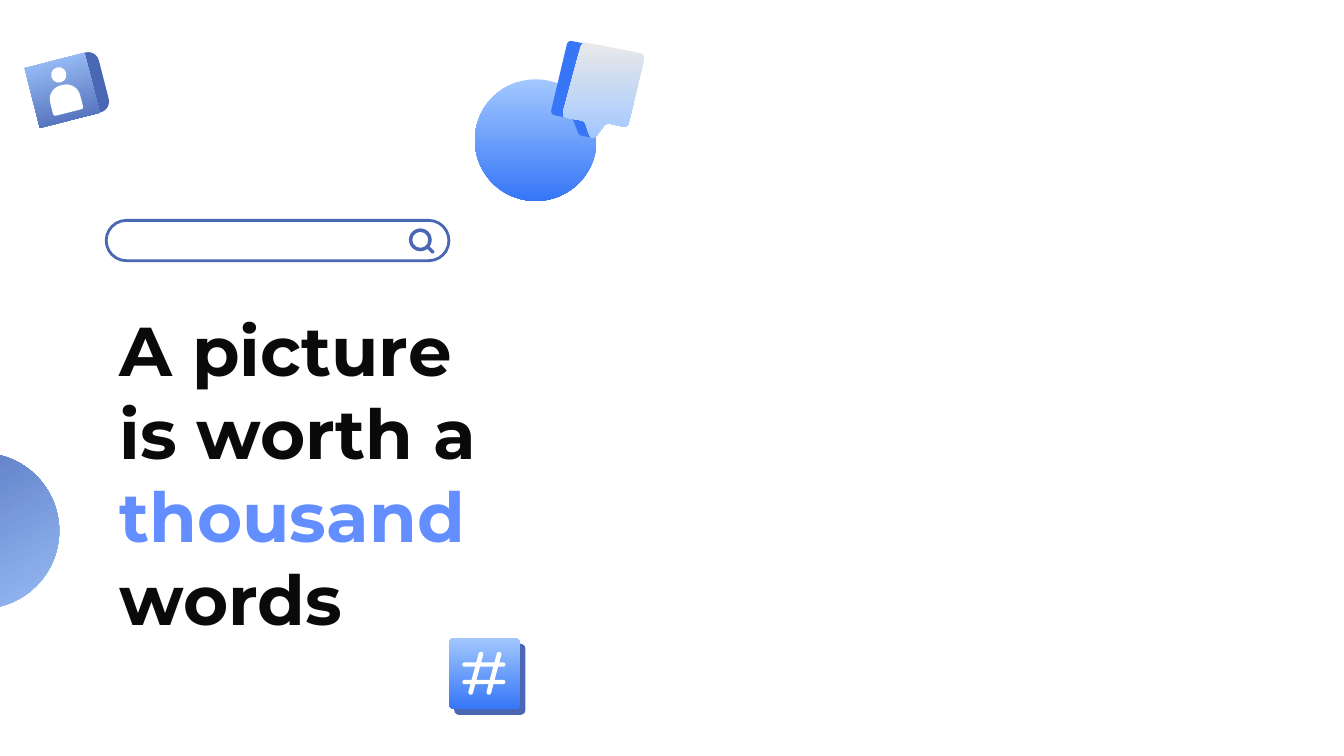
from pptx import Presentation
from pptx.dml.color import RGBColor as Rgb
from pptx.enum.shapes import MSO_SHAPE as Preset
from pptx.enum.text import MSO_ANCHOR as Anchor, MSO_AUTO_SIZE as AutoSize, PP_ALIGN as Align
from pptx.util import Inches, Pt

COLORS = {
    "ink": "0A0A0A", "accent": "628EFF", "white": "FFFFFF", "navy": "4A67B4",
    "blue": "3676F7", "sky": "A3C8FF", "mist": "E9E9E9",
}
COLUMNS, ROWS = 100, 56.25  # grid of square cells
CELL = 0.1                  # inches per cell
CORNER_STEPS = 6


def grid(cells):
    return Inches(cells * CELL)


class SlideArt:
    """Holds the style, the current slide and the group being drawn into."""

    frame_format = {
        "word_wrap": True, "auto_size": AutoSize.NONE, "vertical_anchor": Anchor.MIDDLE,
        "margin_left": grid(1), "margin_right": grid(1),
        "margin_top": grid(1), "margin_bottom": grid(1.35),
    }
    paragraph_format = {"alignment": Align.LEFT, "line_spacing": 1.0}
    font_format = {"name": "Montserrat", "size": Pt(37), "bold": True}

    def __init__(self, slide):
        self.slide = slide
        self.canvas = slide.shapes

    @staticmethod
    def apply(target, values):
        for name, value in values.items():
            setattr(target, name, value)

    @staticmethod
    def color(name):
        return Rgb.from_string(COLORS[name])

    def group(self):
        self.canvas = self.slide.shapes.add_group_shape().shapes

    def ungroup(self):
        self.canvas = self.slide.shapes

    def paint(self, shape, fill, line=None):
        """Fill with one colour name, or a (top, bottom) pair as a gradient."""
        shape.shadow.inherit = False
        if isinstance(fill, tuple):
            shape.fill.gradient()
            shape.fill.gradient_angle = 270
            for stop, name in zip(shape.fill.gradient_stops, fill):
                stop.color.rgb = self.color(name)
        else:
            shape.fill.solid()
            shape.fill.fore_color.rgb = self.color(fill)
        if line:
            shape.line.color.rgb = self.color(line)
            shape.line.width = Pt(1.5)
        else:
            shape.line.fill.background()

    def preset(self, kind, box, fill, turn=0, adjust=(), line=None):
        shape = self.canvas.add_shape(kind, *map(grid, box))
        shape.rotation = turn
        for index, value in enumerate(adjust):
            shape.adjustments[index] = value
        self.paint(shape, fill, line)

    def bar(self, center, length, thickness, fill, turn=0):
        """A round-ended stroke placed by its centre."""
        x, y = center
        box = (x - length / 2, y - thickness / 2, length, thickness)
        self.preset(Preset.ROUNDED_RECTANGLE, box, fill, turn, (0.5,))

    def outline(self, corners, fill):
        """A polygon whose (x, y, cut) corners are rounded off by a curve."""
        points = []
        for index, (x, y, cut) in enumerate(corners):
            ends = []
            for near in (corners[index - 1], corners[(index + 1) % len(corners)]):
                dx, dy = near[0] - x, near[1] - y
                share = cut / (dx * dx + dy * dy) ** 0.5
                ends.append((x + dx * share, y + dy * share))
            (ax, ay), (bx, by) = ends
            for step in range(CORNER_STEPS + 1):
                t = step / CORNER_STEPS
                a, m, b = (1 - t) ** 2, 2 * t * (1 - t), t * t
                points.append((grid(a * ax + m * x + b * bx), grid(a * ay + m * y + b * by)))
        builder = self.canvas.build_freeform(*points[0], scale=1.0)
        builder.add_line_segments(points[1:], close=True)
        self.paint(builder.convert_to_shape(), fill)

    def title(self, box, pieces):
        heading = self.slide.shapes.title
        self.apply(heading, dict(zip(("left", "top", "width", "height"), map(grid, box))))
        self.apply(heading.text_frame, self.frame_format)
        paragraph = heading.text_frame.paragraphs[0]
        self.apply(paragraph, self.paragraph_format)
        for words, name in pieces:
            run = paragraph.add_run()
            run.text = words
            self.apply(run.font, self.font_format)
            run.font.color.rgb = self.color(name)


def main():
    deck = Presentation()
    deck.slide_width, deck.slide_height = grid(COLUMNS), grid(ROWS)
    art = SlideArt(deck.slides.add_slide(deck.slide_layouts[5]))

    # Headline
    art.title((7.9, 21.7, 29.1, 27.4), [
        ("A picture is worth a ", "ink"), ("thousand ", "accent"), ("words", "ink")])

    # Hashtag tile
    art.group()
    for left, top, fill in ((33.8, 47.9, "navy"), (33.4, 47.45, ("sky", "blue"))):
        art.preset(Preset.ROUNDED_RECTANGLE, (left, top, 5.3, 5.3), fill, adjust=(0.07,))
    for x in (35.4, 36.75):
        art.bar((x, 50.1), 3.3, 0.35, "white", turn=105)
    for y in (49.45, 50.75):
        art.bar((36, y), 3.2, 0.32, "white")
    art.ungroup()

    # Gradient discs
    art.preset(Preset.OVAL, (35.33, 5.9, 9.05, 9.05), ("sky", "blue"))
    art.preset(Preset.OVAL, (-7.2, 33.7, 11.6, 11.6), ("sky", "navy"), turn=150)

    # Search bar with magnifier
    art.group()
    art.preset(Preset.ROUNDED_RECTANGLE, (7.9, 16.4, 25.5, 3), "white",
               adjust=(0.5,), line="navy")
    art.preset(Preset.DONUT, (30.43, 17, 1.7, 1.7), "navy", adjust=(0.15,))
    art.bar((32, 18.55), 0.8, 0.25, "navy", turn=45)
    art.ungroup()

    # Contact card
    tilt = 345.7
    art.group()
    art.preset(Preset.ROUNDED_RECTANGLE, (3.2, 4.2, 4.6, 4.6), "navy", tilt, (0.18,))
    art.preset(Preset.RECTANGLE, (2.33, 4.43, 4.6, 4.6), ("sky", "navy"), tilt)
    art.preset(Preset.OVAL, (3.8, 5, 1.15, 1.15), "white", tilt)
    art.preset(Preset.ROUND_2_SAME_RECTANGLE, (3.7, 6.3, 2.3, 2.1), "white", tilt, (0.5, 0.08))
    art.ungroup()

    # Speech bubble: side, then face
    art.group()
    art.outline([
        (42.25, 3, 0.35), (44.3, 3.4, 0), (44.2, 9.5, 0), (43.9, 10.2, 0),
        (43.1, 10.1, 0.3), (42.6, 8.8, 0), (42.3, 8.8, 0), (40.95, 8.5, 0.35)], "blue")
    art.outline([
        (43.3, 3.1, 0.4), (48, 4.05, 0.4), (46.7, 9.5, 0.4), (45.1, 9.15, 0.3),
        (44.3, 10.25, 0.3), (43.9, 10.2, 0.3), (43.5, 9, 0.3), (41.8, 8.7, 0.4)],
        ("mist", "sky"))
    art.ungroup()

    deck.save("out.pptx")


if __name__ == "__main__":
    main()
